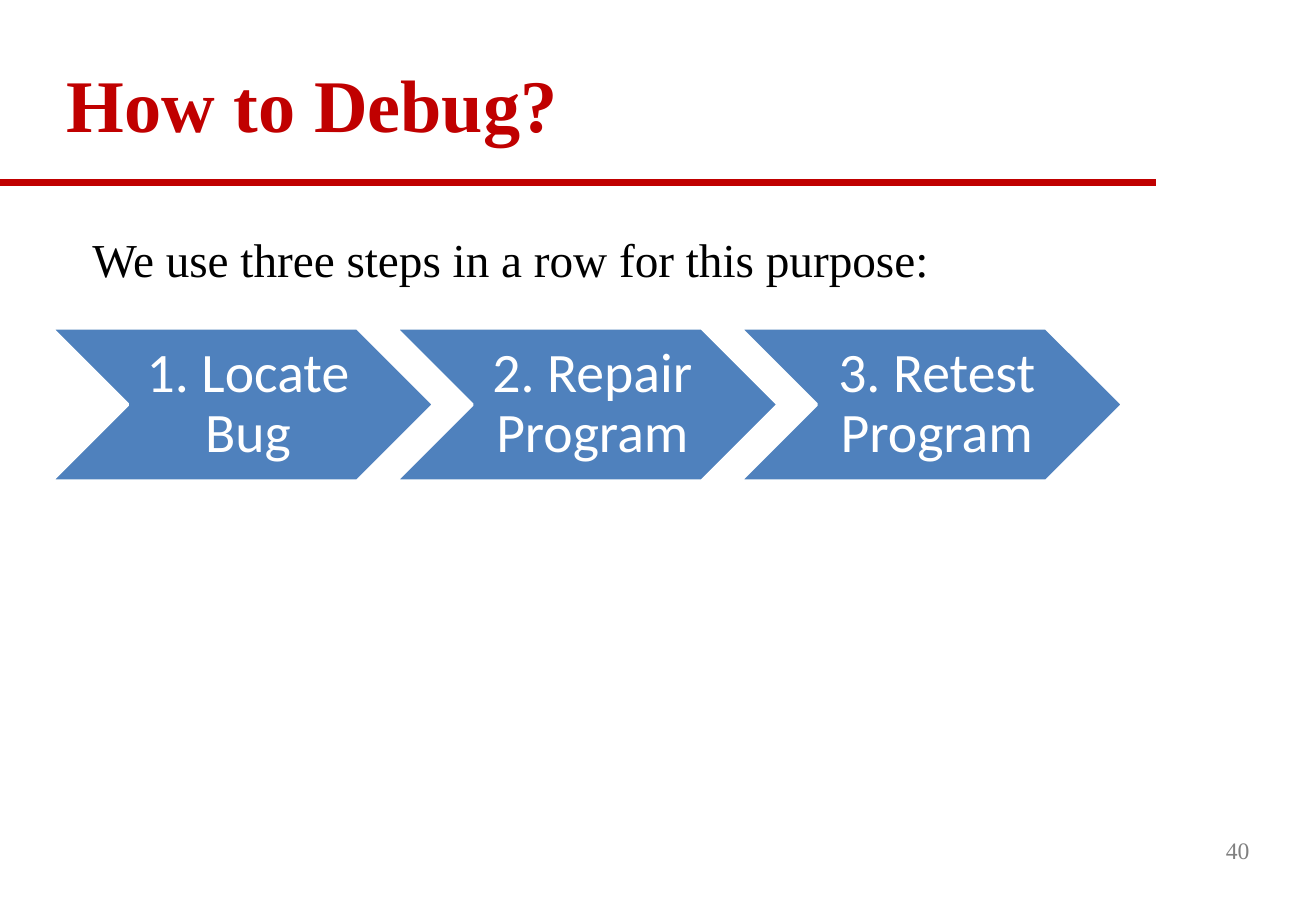
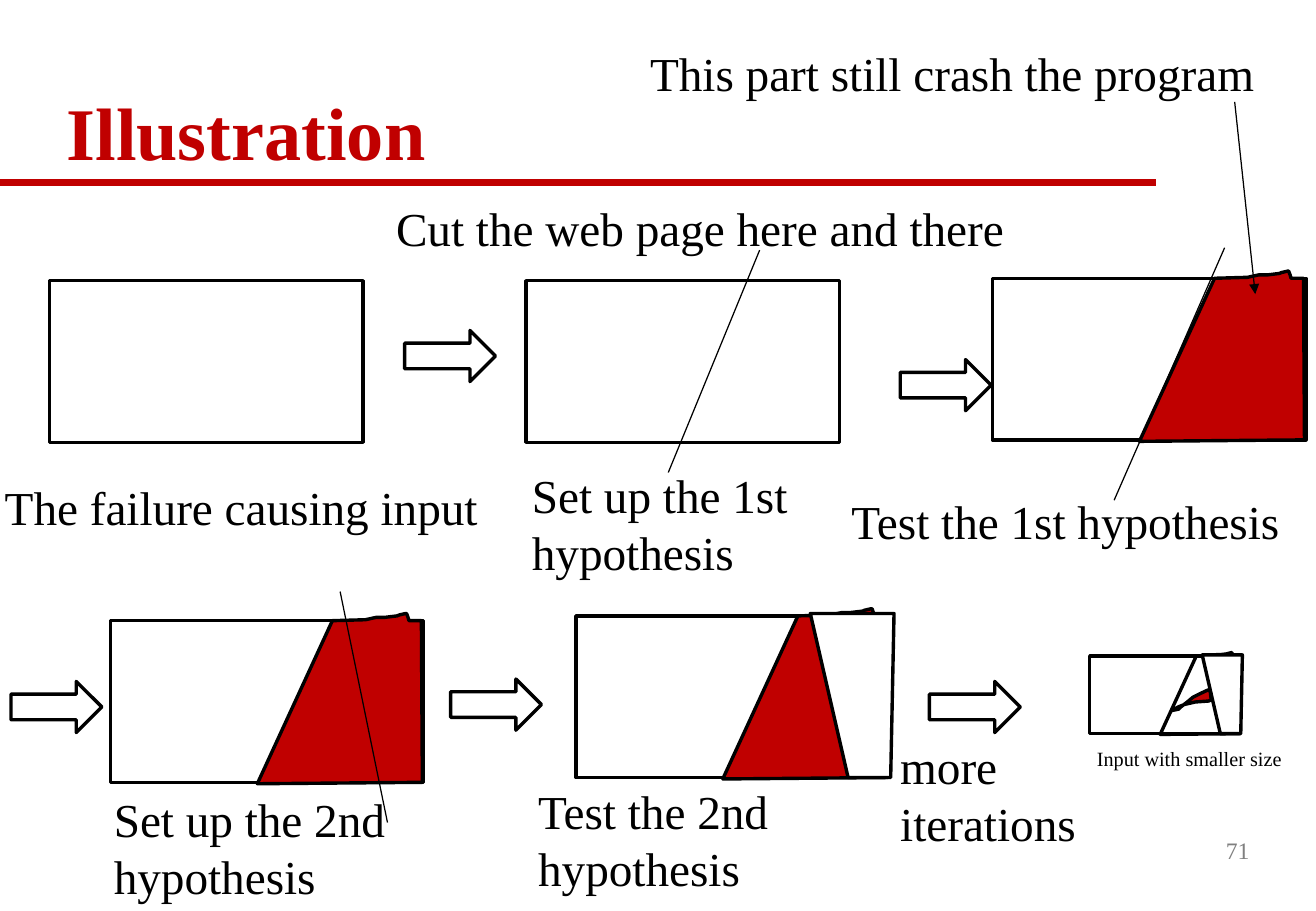
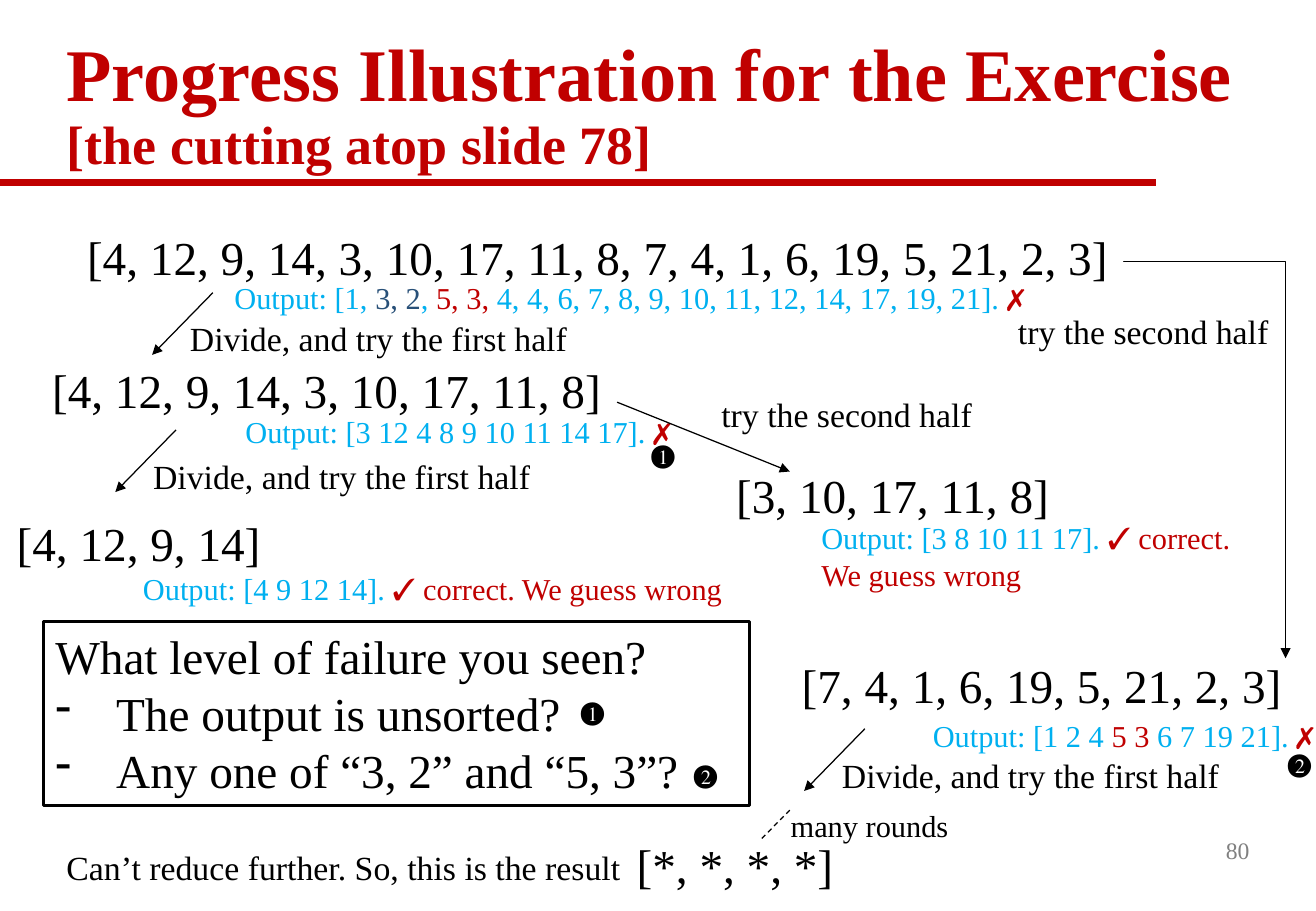
from lxml import etree
from pptx import Presentation
from pptx.dml.color import RGBColor
from pptx.enum.dml import MSO_LINE_DASH_STYLE as DASH
from pptx.enum.shapes import MSO_CONNECTOR as CONN, MSO_SHAPE as SHAPE
from pptx.enum.text import MSO_ANCHOR as ANCHOR, MSO_AUTO_SIZE as AUTO, PP_ALIGN as ALIGN
from pptx.oxml.ns import qn
from pptx.util import Cm, Pt

COLORS = {"red": "C00000", "black": "000000", "white": "FFFFFF", "blue": "4F81BD",
          "sky": "00B0F0", "navy": "285078", "gray": "808080"}
SERIF, SANS = "Times New Roman", "Calibri"

# A page with a torn right part; points in cm from the page corner
PAGE_W, PAGE_H = 6.55, 3.38
TORN = [(4.64, 0), (5.33, -0.02), (5.56, -0.07), (5.74, -0.07), (5.99, -0.1),
        (6.04, -0.12), (6.17, -0.15), (6.19, -0.15), (6.22, -0.07), (6.24, 0),
        (6.5, 0), (6.5, 0.03), (6.52, 3.38), (3.07, 3.41)]
CUT = [(4.9, -0.05), (6.65, -0.05), (6.58, 3.38), (5.69, 3.38)]
REMAINDER = [(24.49, 14.86), (24.64, 14.78), (24.77, 14.73), (24.99, 14.68),
             (25.27, 14.66), (25.32, 14.63), (25.3, 14.45), (25.25, 14.43),
             (25.1, 14.5), (24.94, 14.58), (24.82, 14.68), (24.69, 14.78), (24.64, 14.83)]


def rgb(name):
    return RGBColor.from_string(COLORS[name])


def style_run(r, size, color="black", font=SERIF, bold=None):
    f = r.font
    f.size, f.name, f.bold = Pt(size), font, bold
    f.color.rgb = rgb(color)


def style_shape(sp, fill="white", line="black"):
    sp.shadow.inherit = False
    if fill:
        sp.fill.solid()
        sp.fill.fore_color.rgb = rgb(fill)
    else:
        sp.fill.background()
    sp.line.color.rgb = rgb(line)
    sp.line.width = Pt(2)
    return sp


def add_shape(s, kind, x, y, w, h, fill="white", line="black"):
    return style_shape(s.shapes.add_shape(kind, Cm(x), Cm(y), Cm(w), Cm(h)), fill, line)


def add_outline(s, points, fill):
    pts = [(Cm(x), Cm(y)) for x, y in points]
    builder = s.shapes.build_freeform(*pts[0])
    builder.add_line_segments(pts[1:], close=True)
    return style_shape(builder.convert_to_shape(), fill)


def add_text(s, x, y, w, size, runs, wrap=True, lines=1):
    """Runs: one string, or (text, colour) pairs."""
    h = 0.25 + 0.0423 * size * lines
    tf = s.shapes.add_textbox(Cm(x), Cm(y), Cm(w), Cm(h)).text_frame
    tf.word_wrap, tf.auto_size = wrap, AUTO.SHAPE_TO_FIT_TEXT
    p = tf.paragraphs[0]
    for text, color in [(runs, "black")] if isinstance(runs, str) else runs:
        r = p.add_run()
        r.text = text
        style_run(r, size, color)
    return tf


def add_line(s, x1, y1, x2, y2, color="black", width=0.75, arrow=False, dash=False):
    line = s.shapes.add_connector(CONN.STRAIGHT, Cm(x1), Cm(y1), Cm(x2), Cm(y2))
    line.line.color.rgb = rgb(color)
    line.line.width = Pt(width)
    if dash:
        line.line.dash_style = DASH.DASH
    spPr = line.element.spPr
    if arrow:
        etree.SubElement(spPr.find(qn("a:ln")), qn("a:tailEnd"), type="triangle")
    etree.SubElement(spPr, qn("a:effectLst"))
    return line


def add_bent_arrow(s, x, y, w, h):
    """Right along the top, then down: a quarter-turned, mirrored elbow."""
    line = add_line(s, x, y, x + w, y + h, arrow=True)
    spPr = line.element.spPr
    xfrm = spPr.find(qn("a:xfrm"))
    xfrm.set("rot", "16200000")
    xfrm.set("flipH", "1")
    geom = spPr.find(qn("a:prstGeom"))
    geom.set("prst", "bentConnector3")
    etree.SubElement(geom.find(qn("a:avLst")), qn("a:gd"), name="adj1", fmla="val 200")


def add_page(s, x, y, scale=1, torn=None, cut=False):
    def place(points):
        return [(x + px * scale, y + py * scale) for px, py in points]
    add_shape(s, SHAPE.RECTANGLE, x, y, PAGE_W * scale, PAGE_H * scale)
    if torn:
        add_outline(s, place(TORN), None if torn == "empty" else torn)
    if cut:
        add_outline(s, place(CUT), "white")


def set_bullet(p):
    pPr = p._p.get_or_add_pPr()
    pPr.set("marL", str(Cm(1.27)))
    pPr.set("indent", str(-Cm(1.27)))
    etree.SubElement(pPr, qn("a:buChar"), char="-")


def new_slide(prs, number, title, subtitle=None, width=25.1, anchor=ANCHOR.BOTTOM):
    s = prs.slides.add_slide(prs.slide_layouts[5])
    # Title
    sp = s.shapes.title
    sp.left, sp.top, sp.width, sp.height = Cm(1.14), Cm(0.74), Cm(width), Cm(3.07)
    tf = sp.text_frame
    tf.word_wrap, tf.auto_size, tf.vertical_anchor = True, AUTO.NONE, anchor
    p = tf.paragraphs[0]
    p.text = title
    p.alignment, p.line_spacing = ALIGN.LEFT, 0.9
    style_run(p.runs[0], 44, "red", bold=True)
    if subtitle:
        p.add_line_break()
        r = p.add_run()
        r.text = subtitle
        style_run(r, 32, "red", bold=True)
    # Slide number
    tf = add_text(s, 20.62, 17.14, 5.75, 14, [(str(number), "gray")])
    tf.auto_size, tf.vertical_anchor = AUTO.NONE, ANCHOR.MIDDLE
    tf.paragraphs[0].alignment = ALIGN.RIGHT
    s.shapes[-1].height = Cm(1.27)
    return s


def add_layout_rule(prs, s):
    """Draw the rule under the title and hand it to the shared layout."""
    rule = add_line(s, 0, 3.81, 24.16, 3.81, "red", 4)
    rule.element.nvCxnSpPr.cNvPr.set("id", "99")
    prs.slide_layouts[5].element.cSld.spTree.append(rule.element)


def build_steps(prs):
    s = new_slide(prs, 40, "How to Debug?", anchor=ANCHOR.MIDDLE)
    add_layout_rule(prs, s)
    for i, step in enumerate(["1. Locate Bug", "2. Repair Program", "3. Retest Program"]):
        sp = add_shape(s, SHAPE.CHEVRON, 1.07 + 7.2 * i, 6.86, 8, 3.2, "blue", "white")
        tf = sp.text_frame
        tf.word_wrap, tf.vertical_anchor = True, ANCHOR.MIDDLE
        tf.margin_left, tf.margin_right = Cm(0.36), Cm(0.13)
        p = tf.paragraphs[0]
        p.text = step
        p.alignment, p.line_spacing = ALIGN.CENTER, 0.9
        style_run(p.runs[0], 33, "white", SANS)
    add_text(s, 1.68, 4.7, 18.16, 28, "We use three steps in a row for this purpose:", False)


def build_illustration(prs):
    s = new_slide(prs, 71, "Illustration")
    # Pages, from the whole input to the reduced one
    add_page(s, 1.04, 5.87)
    add_page(s, 11, 5.87)
    add_page(s, 20.75, 5.82, torn="red")
    add_page(s, 2.31, 12.98, torn="red")
    add_page(s, 12.04, 12.88, torn="red", cut=True)
    add_page(s, 22.78, 13.72, 0.48, torn="empty", cut=True)
    add_outline(s, REMAINDER, "red")
    # Arrows between pages
    for x, y in [(8.46, 6.91), (18.82, 7.52), (0.23, 14.25), (9.42, 14.2), (19.43, 14.25)]:
        add_shape(s, SHAPE.RIGHT_ARROW, x, y, 1.9, 1.07)
    # Cutting lines and pointer
    add_line(s, 15.88, 5.23, 13.97, 9.88)
    add_line(s, 25.6, 5.18, 23.29, 10.46)
    add_line(s, 7.11, 12.37, 8.1, 17.2)
    add_line(s, 25.81, 2.13, 26.24, 6.15, arrow=True)
    # Labels
    for x, y, w, text, lines in [
            (-0.15, 9.88, 10.64, "The failure causing input", 1),
            (10.87, 9.63, 8.94, "Set up the 1st hypothesis", 2),
            (17.55, 10.16, 10.64, "Test the 1st hypothesis", 1),
            (13.34, 0.81, 13.54, "This part still crash the program", 1),
            (2.13, 16.41, 8.94, "Set up the 2nd hypothesis", 2),
            (11, 16.23, 5.92, "Test the 2nd hypothesis", 2),
            (18.57, 15.29, 4.29, "more iterations", 2)]:
        add_text(s, x, y, w, 28, text, lines=lines)
    add_text(s, 8.03, 4.04, 13.34, 28, "Cut the web page here and there", False)
    add_text(s, 22.68, 15.49, 4.42, 12, "Input with smaller size", False)


def build_progress(prs):
    s = new_slide(prs, 80, "Progress Illustration for the Exercise",
                  "[the cutting atop slide 78]", width=25.93)
    # Input lists
    for x, y, w, text in [
            (1.57, 4.65, 24.33, "[4, 12, 9, 14, 3, 10, 17, 11, 8, 7, 4, 1, 6, 19, 5, 21, 2, 3]"),
            (0.84, 7.42, 13.54, "[4, 12, 9, 14, 3, 10, 17, 11, 8]"),
            (0.1, 10.64, 13.54, "[4, 12, 9, 14]"),
            (15.14, 9.63, 7.57, "[3, 10, 17, 11, 8]"),
            (16.51, 13.59, 11, "[7, 4, 1, 6, 19, 5, 21, 2, 3]")]:
        add_text(s, x, y, w, 28, text)
    add_text(s, 13.06, 17.37, 4.67, 28, "[*, *, *, *]", False)
    # Outputs
    wrong, correct = ("✗", "red"), ("✓ correct. We guess wrong", "red")
    for x, y, w, lines, runs in [
            (4.65, 5.72, 20.22, 1, [
                ("Output: [1, ", "sky"), ("3, 2", "navy"), (", ", "sky"), ("5, 3, ", "red"),
                ("4, 4, 6, 7, 8, 9, 10, 11, 12, 14, 17, 19, 21]. ", "sky"), wrong]),
            (4.88, 8.51, 9.96, 1, [("Output: [3 12 4 8 9 10 11 14 17]. ", "sky"), wrong]),
            (2.74, 11.79, 13.13, 1, [("Output: [4 9 12 14]. ", "sky"), correct]),
            (16.92, 10.74, 9.96, 2, [("Output: [3 8 10 11 17]. ", "sky"), correct]),
            (19.25, 14.88, 9.96, 1, [("Output: [1 2 4 ", "sky"), ("5 3", "red"),
                                     (" 6 7 19 21]. ", "sky"), wrong])]:
        add_text(s, x, y, w, 18, runs, lines=lines)
    # First halves: arrow with its label
    for x, y in [(3.18, 7.42), (2.41, 10.29), (16.81, 16.54)]:
        add_line(s, x + 1.27, y - 1.3, x, y, arrow=True)
        add_text(s, x + 0.54, y - 0.89, 8.46, 20, "Divide, and try the first half", False)
    # Second halves
    add_line(s, 12.9, 8.41, 16.51, 9.86, arrow=True)
    add_bent_arrow(s, 21.03, 7.92, 8.31, 3.38)
    for x, y in [(14.83, 8.1), (21.03, 6.38)]:
        add_text(s, x, y, 5.79, 20, "try the second half", False)
    # Last rounds
    add_line(s, 16.51, 16.94, 15.88, 17.58, dash=True)
    add_text(s, 16.28, 16.76, 3.84, 18, "many rounds", False)
    add_text(s, 1.14, 17.58, 12.17, 20, "Can’t reduce further. So, this is the result", False)
    # Question box
    tf = add_shape(s, SHAPE.RECTANGLE, 0.91, 13, 14.76, 3.84).text_frame
    tf.word_wrap, tf.vertical_anchor = True, ANCHOR.TOP
    tf.text = ("What level of failure you seen?\nThe output is unsorted?\n"
               "Any one of “3, 2” and “5, 3”?")
    for i, p in enumerate(tf.paragraphs):
        p.alignment = ALIGN.LEFT
        if i:
            set_bullet(p)
        style_run(p.runs[0], 28)
    # Failure markers
    for x, y, mark in [(13.36, 9.02, "❶"), (11.89, 14.4, "❶"),
                       (14.25, 15.72, "❷"), (26.67, 15.49, "❷")]:
        add_text(s, x, y, 1.02, 16, mark, False)


def main():
    prs = Presentation()
    prs.slide_width, prs.slide_height = Cm(27.51), Cm(19.05)
    build_steps(prs)
    build_illustration(prs)
    build_progress(prs)
    prs.save("out.pptx")


if __name__ == "__main__":
    main()
